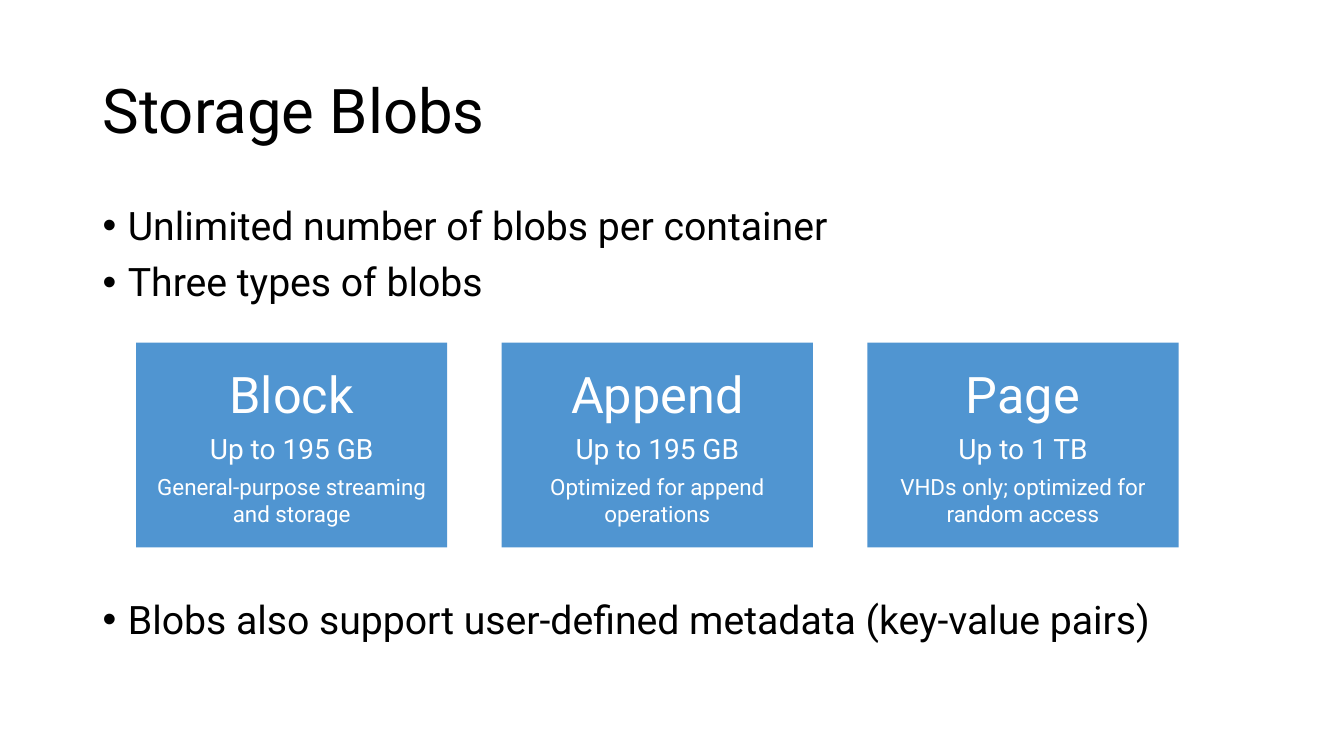
from lxml.etree import SubElement
from pptx import Presentation
from pptx.dml.color import RGBColor
from pptx.enum.shapes import MSO_SHAPE
from pptx.enum.text import MSO_ANCHOR, MSO_AUTO_SIZE, PP_ALIGN
from pptx.oxml.ns import qn
from pptx.util import Inches, Pt

FONT = "Roboto"
COLORS = {"text": "000000", "card": "5095D1", "card_text": "FFFFFF"}

# (text, space before in points); the last bullet clears the row of cards
BULLETS = [
    ("Unlimited number of blobs per container", 10),
    ("Three types of blobs", 10),
    ("Blobs also support user-defined metadata (key-value pairs)", 211),
]
BLOB_TYPES = [
    ("Block", "Up to 195 GB", "General-purpose streaming and storage"),
    ("Append", "Up to 195 GB", "Optimized for append operations"),
    ("Page", "Up to 1 TB", "VHDs only; optimized for random access"),
]
CARD_STYLES = [(36, 6), (20, 6), (16, 0)]  # size, space after


def color(name):
    return RGBColor.from_string(COLORS[name])


def write(p, text, size, color_name):
    p.text = text
    for r in p.runs:
        r.font.name = FONT
        r.font.size = Pt(size)
        r.font.color.rgb = color(color_name)


def add_bullet(p, indent):
    pPr = p._p.get_or_add_pPr()
    pPr.set("marL", str(indent))
    pPr.set("indent", str(-indent))
    SubElement(pPr, qn("a:buFont"), typeface="Arial")
    SubElement(pPr, qn("a:buChar"), char="•")


def add_title(s, text, left, top, width, height):
    sp = s.shapes.title
    sp.left, sp.top = Inches(left), Inches(top)
    sp.width, sp.height = Inches(width), Inches(height)
    tf = sp.text_frame
    tf.auto_size = MSO_AUTO_SIZE.NONE
    tf.vertical_anchor = MSO_ANCHOR.MIDDLE
    p = tf.paragraphs[0]
    write(p, text, 44, "text")
    p.alignment = PP_ALIGN.LEFT
    p.line_spacing = 0.9


def add_bullets(s, left, top, width, height):
    sp = s.shapes.add_textbox(Inches(left), Inches(top), Inches(width), Inches(height))
    tf = sp.text_frame
    tf.word_wrap = True
    for i, (text, space_before) in enumerate(BULLETS):
        p = tf.add_paragraph() if i else tf.paragraphs[0]
        write(p, text, 28, "text")
        p.line_spacing = 0.9
        p.space_before = Pt(space_before)
        add_bullet(p, Inches(0.25))


def add_card(s, lines, left, top, width, height):
    sp = s.shapes.add_shape(MSO_SHAPE.RECTANGLE, Inches(left), Inches(top),
                            Inches(width), Inches(height))
    sp.shadow.inherit = False
    sp.fill.solid()
    sp.fill.fore_color.rgb = color("card")
    sp.line.fill.background()
    tf = sp.text_frame
    tf.word_wrap = True
    tf.vertical_anchor = MSO_ANCHOR.MIDDLE
    for i, (text, (size, space_after)) in enumerate(zip(lines, CARD_STYLES)):
        p = tf.add_paragraph() if i else tf.paragraphs[0]
        write(p, text, size, "card_text")
        p.alignment = PP_ALIGN.CENTER
        p.space_after = Pt(space_after)


def add_card_row(s, left, top, width, height, gap):
    n = len(BLOB_TYPES)
    card_width = (width - gap * (n - 1)) / n
    for i, lines in enumerate(BLOB_TYPES):
        add_card(s, lines, left + i * (card_width + gap), top, card_width, height)


def main():
    prs = Presentation()
    prs.slide_width, prs.slide_height = Inches(13.33), Inches(7.5)
    s = prs.slides.add_slide(prs.slide_layouts[5])
    add_title(s, "Storage Blobs", 0.92, 0.4, 11.5, 1.45)
    add_bullets(s, 0.92, 2, 11.5, 4.76)
    add_card_row(s, 1.35, 3.4, 10.34, 2.03, gap=0.54)
    prs.save("out.pptx")


if __name__ == "__main__":
    main()
